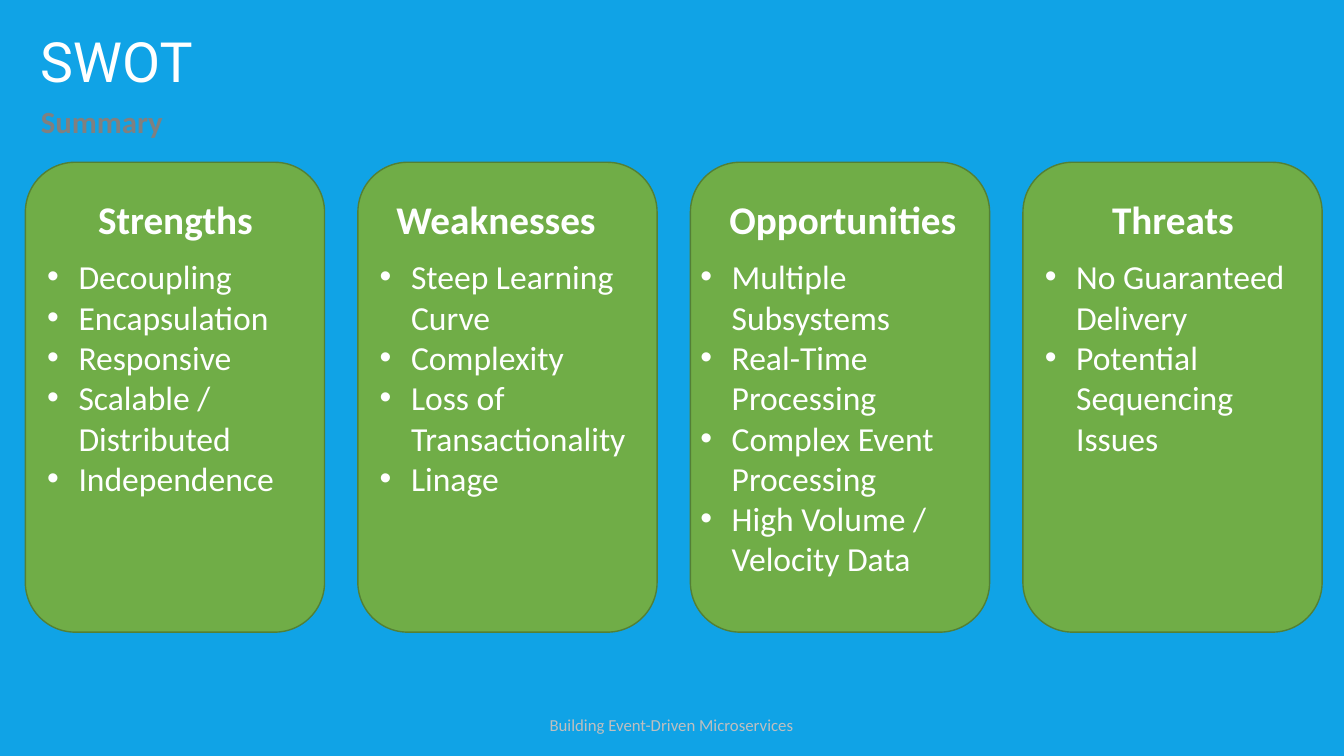
from lxml.etree import SubElement
from pptx import Presentation
from pptx.dml.color import RGBColor
from pptx.enum.shapes import MSO_SHAPE
from pptx.enum.text import MSO_ANCHOR, MSO_AUTO_SIZE, PP_ALIGN
from pptx.oxml.ns import qn
from pptx.util import Cm, Pt

SKY = RGBColor(0x10, 0xA3, 0xE6)
GREEN = RGBColor(0x70, 0xAD, 0x47)
DARK_GREEN = RGBColor(0x53, 0x80, 0x35)
WHITE = RGBColor(0xFF, 0xFF, 0xFF)
GRAY = RGBColor(0x80, 0x80, 0x80)
SILVER = RGBColor(0xBF, 0xBF, 0xBF)

CARD_LEFT, CARD_TOP = 0.64, 4.09
CARD_WIDTH, CARD_HEIGHT = 7.54, 11.84
CARD_PITCH = 8.38
TEXT_WIDTH = 6.96
BULLET_INDENT = Cm(0.79)

CARDS = [
    ("Strengths", 0.3, 0.3, 4.72,
     ["Decoupling", "Encapsulation", "Responsive", "Scalable / Distributed", "Independence"]),
    ("Weaknesses", 0, 0.3, 4.72,
     ["Steep Learning Curve", "Complexity", "Loss of Transactionality", "Linage"]),
    ("Opportunities", 0.36, 0, 6.25,
     ["Multiple Subsystems", "Real-Time Processing", "Complex Event Processing",
      "High Volume / Velocity Data"]),
    ("Threats", 0.3, 0.3, 3.96,
     ["No Guaranteed Delivery", "Potential Sequencing Issues"]),
]


def add_bullet(para):
    properties = para._p.get_or_add_pPr()
    properties.set("marL", str(BULLET_INDENT))
    properties.set("indent", str(-BULLET_INDENT))
    SubElement(properties, qn("a:buFont")).set("typeface", "Arial")
    SubElement(properties, qn("a:buChar")).set("char", "•")


def add_text(shapes, box, lines, size, color, font="Calibri", bold=False, align=PP_ALIGN.LEFT,
             anchor=MSO_ANCHOR.TOP, fit=MSO_AUTO_SIZE.NONE, wrap=True, spacing=1.0, bullets=False):
    frame = shapes.add_textbox(*map(Cm, box)).text_frame
    frame.word_wrap = wrap
    frame.auto_size = fit
    frame.vertical_anchor = anchor
    for index, line in enumerate(lines):
        para = frame.add_paragraph() if index else frame.paragraphs[0]
        para.alignment = align
        para.line_spacing = spacing
        if bullets:
            add_bullet(para)
        span = para.add_run()
        span.text = line
        span.font.name = font
        span.font.size = Pt(size)
        span.font.bold = bold
        span.font.color.rgb = color


def add_header(page, left, top, width):
    add_text(page.shapes, (left, top, width, 1.88), ["SWOT"], 39.6, WHITE,
             font="Roboto", anchor=MSO_ANCHOR.MIDDLE, spacing=0.9)
    add_text(page.shapes, (left + 0.02, top + 1.95, width, 1.02), ["Summary"], 22, GRAY,
             bold=True, anchor=MSO_ANCHOR.MIDDLE, spacing=0.8)


def add_card(page, left, top, heading, heading_shift, list_shift, list_height, items):
    shapes = page.shapes.add_group_shape().shapes
    card = shapes.add_shape(MSO_SHAPE.ROUNDED_RECTANGLE, Cm(left), Cm(top),
                            Cm(CARD_WIDTH), Cm(CARD_HEIGHT))
    card.shadow.inherit = False
    card.fill.solid()
    card.fill.fore_color.rgb = GREEN
    card.line.color.rgb = DARK_GREEN
    card.line.width = Pt(1)
    add_text(shapes, (left + heading_shift, top + 0.71, TEXT_WIDTH, 1.07), [heading], 28, WHITE,
             bold=True, align=PP_ALIGN.CENTER, fit=MSO_AUTO_SIZE.SHAPE_TO_FIT_TEXT)
    add_text(shapes, (left + list_shift, top + 2.24, TEXT_WIDTH, list_height), items, 24, WHITE,
             fit=MSO_AUTO_SIZE.SHAPE_TO_FIT_TEXT, bullets=True)


def add_footer(page, left, top, width):
    add_text(page.shapes, (left, top, width, 0.76), ["Building Event-Driven Microservices"],
             12, SILVER, align=PP_ALIGN.CENTER, fit=MSO_AUTO_SIZE.SHAPE_TO_FIT_TEXT, wrap=False)


def main():
    deck = Presentation()
    deck.slide_width, deck.slide_height = Cm(33.87), Cm(19.05)
    page = deck.slides.add_slide(deck.slide_layouts[6])
    page.background.fill.solid()
    page.background.fill.fore_color.rgb = SKY
    add_footer(page, 13.56, 17.88, 6.73)
    add_header(page, 0.76, 0.69, 32.3)
    for column, card in enumerate(CARDS):
        add_card(page, CARD_LEFT + column * CARD_PITCH, CARD_TOP, *card)
    deck.save("out.pptx")


if __name__ == "__main__":
    main()
